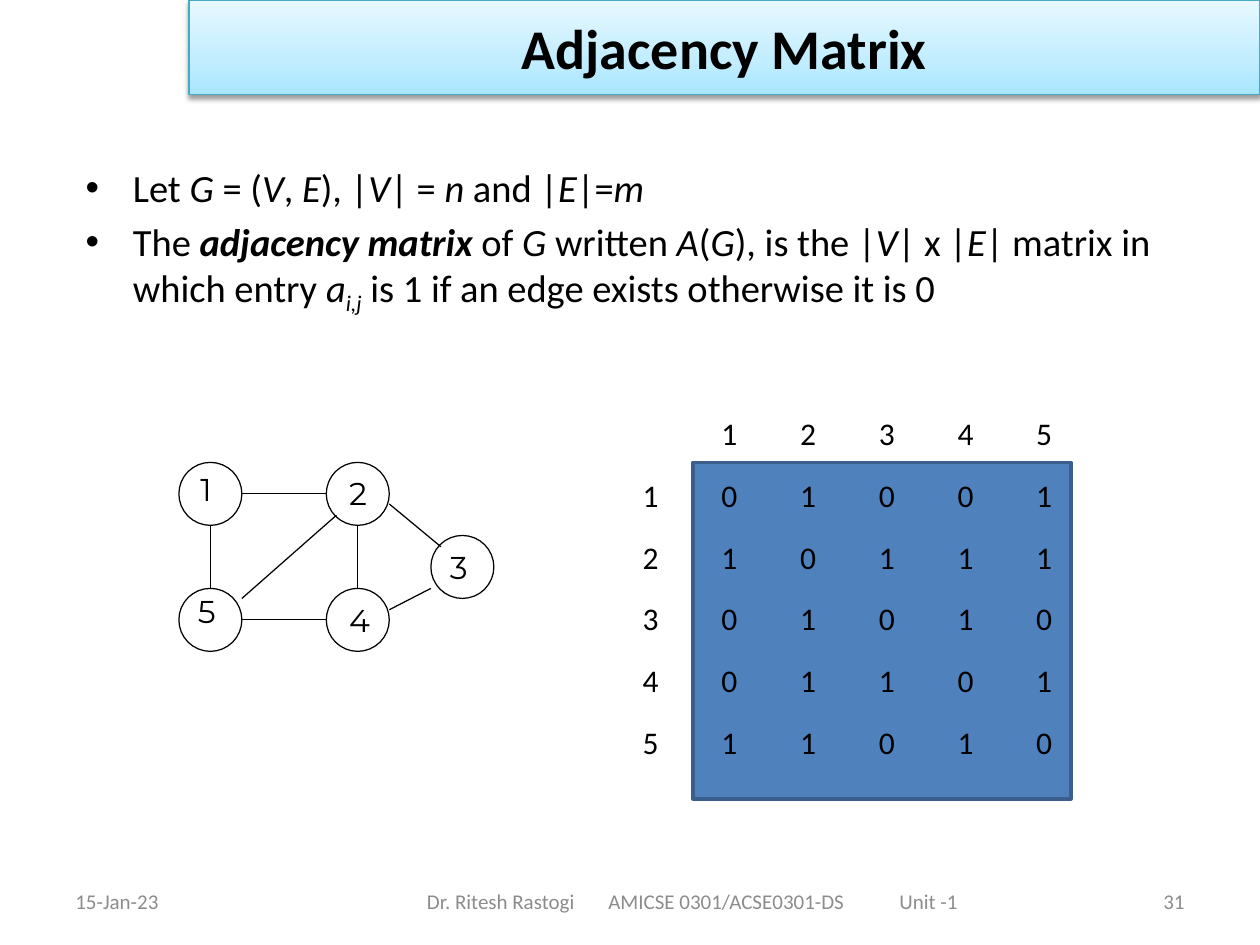
import math

from lxml import etree
from pptx import Presentation
from pptx import oxml
from pptx import util as u
from pptx.dml.color import RGBColor
from pptx.enum import shapes, text
from pptx.oxml.ns import nsdecls, qn

COLORS = {"ink": "000000", "muted": "8C8C8C", "matrix": "4F81BD",
          "matrix_edge": "3A5F8C", "title_edge": "46AAC5",
          "title_low": "A7E6FF", "title_mid": "C1EDFF", "title_high": "E7F8FF"}


def rgb(name):
    return RGBColor.from_string(COLORS[name])


def add_text(s, box, words, size, font, color, inset=None, align=text.PP_ALIGN.LEFT, tabs=()):
    tf = s.shapes.add_textbox(*[u.Inches(v) for v in box]).text_frame
    tf.word_wrap = True
    if inset is None:
        tf.vertical_anchor = text.MSO_ANCHOR.MIDDLE
    else:
        tf.margin_left = tf.margin_right = tf.margin_top = tf.margin_bottom = u.Inches(inset)
    p = tf.paragraphs[0]
    p.text = words
    p.alignment = align
    if tabs:
        tab_list = etree.SubElement(p._p.get_or_add_pPr(), qn("a:tabLst"))
        for pos in tabs:
            etree.SubElement(tab_list, qn("a:tab"), pos=str(u.Inches(pos)), algn="l")
    f = p.runs[0].font
    f.size, f.name, f.color.rgb = u.Pt(size), font, rgb(color)


prs = Presentation()
prs.slide_width, prs.slide_height = u.Inches(10), u.Inches(7.5)
s = prs.slides.add_slide(prs.slide_layouts[1])

matrix = s.shapes.add_shape(shapes.MSO_SHAPE.RECTANGLE, u.Inches(5.5), u.Inches(3.67),
                            u.Inches(3), u.Inches(2.67))
matrix.shadow.inherit = False
matrix.fill.solid()
matrix.fill.fore_color.rgb = rgb("matrix")
matrix.line.color.rgb = rgb("matrix_edge")
matrix.line.width = u.Pt(2)

title = s.shapes.title
title.left, title.top, title.width, title.height = [u.Inches(v) for v in (1.5, 0, 8.5, 0.75)]
title.text_frame.text = "Adjacency Matrix"
title.text_frame.vertical_anchor = text.MSO_ANCHOR.MIDDLE
p = title.text_frame.paragraphs[0]
p.alignment = text.PP_ALIGN.CENTER
f = p.runs[0].font
f.size, f.bold, f.name, f.color.rgb = u.Pt(32), True, "Calibri", rgb("ink")
stops = "".join(f'<a:gs pos="{pos}"><a:srgbClr val="{COLORS[c]}"/></a:gs>' for pos, c in
                ((0, "title_low"), (35000, "title_mid"), (100000, "title_high")))
sp_pr = title._element.spPr
sp_pr.append(oxml.parse_xml(f'<a:prstGeom {nsdecls("a")} prst="rect"><a:avLst/></a:prstGeom>'))
sp_pr.append(oxml.parse_xml(
    f'<a:gradFill {nsdecls("a")} rotWithShape="1"><a:gsLst>{stops}</a:gsLst>'
    '<a:lin ang="16200000" scaled="1"/></a:gradFill>'))
title.line.color.rgb = rgb("title_edge")
title.line.width = u.Pt(0.75)
sp_pr.append(oxml.parse_xml(
    f'<a:effectLst {nsdecls("a")}><a:outerShdw blurRad="{u.Pt(3.1)}" dist="{u.Pt(1.6)}" '
    f'dir="5400000" rotWithShape="0"><a:srgbClr val="{COLORS["ink"]}">'
    '<a:alpha val="38000"/></a:srgbClr></a:outerShdw></a:effectLst>'))

body = s.placeholders[1]
body.left, body.top, body.width, body.height = [u.Inches(v) for v in (0.58, 1.25, 9, 2.17)]
tf = body.text_frame
tf.auto_size = text.MSO_AUTO_SIZE.NONE
bullets = ["Let ~G ~= (~V~, ~E~), |~V~| = ~n ~and |~E~|=~m",
           "The ~adjacency matrix ~of ~G ~written ~A~(~G~), is the |~V~| x |~E~"
           "| matrix in which entry ~a~~i,j~ is 1 if an edge exists otherwise it is 0"]
for i, bullet in enumerate(bullets):
    p = tf.paragraphs[0] if i == 0 else tf.add_paragraph()
    for n, part in enumerate(bullet.split("~")):
        if not part:
            continue
        r = p.add_run()
        r.text = part
        f = r.font
        f.size, f.name, f.color.rgb = u.Pt(22), "Calibri", rgb("ink")
        f.italic = n % 2 == 1
        if part == "adjacency matrix ":
            f.bold = True
        if part == "i,j":
            r._r.get_or_add_rPr().set("baseline", "-25000")

nodes = [("1", 1.67, 3.92, 1.59, 3.73), ("2", 2.84, 3.92, 2.77, 3.76),
         ("3", 3.67, 4.5, 3.57, 4.35), ("4", 2.84, 4.92, 2.77, 4.77),
         ("5", 1.67, 4.92, 1.57, 4.7)]
edges = [[(1.92, 4.75), (2.67, 4.09)], [(1.67, 4.67), (1.67, 4.17)],
         [(1.92, 3.92), (2.59, 3.92)], [(1.92, 4.92), (2.59, 4.92)],
         [(2.84, 4.17), (2.84, 4.67)], [(3.09, 4), (3.5, 4.34)],
         [(3.09, 4.84), (3.42, 4.67)]]
angles = [math.tau * k / 32 for k in range(32)]
circles = [[(x - 0.25 * math.cos(a), y - 0.25 * math.sin(a)) for a in angles]
           for name, x, y, label_x, label_y in nodes]
pen = None
for outline in circles + edges:
    start, *rest = [(u.Inches(x), u.Inches(y)) for x, y in outline]
    if pen is None:
        pen = s.shapes.build_freeform(*start)
    else:
        pen.move_to(*start)
    pen.add_line_segments(rest, close=len(rest) > 1)
graph = pen.convert_to_shape()
graph.shadow.inherit = False
graph.fill.background()
graph.line.color.rgb = rgb("ink")
graph.line.width = u.Pt(0.72)
for name, x, y, label_x, label_y in nodes:
    add_text(s, (label_x, label_y, 0.18, 0.35), name, 18, "Montserrat", "ink", inset=0)

rows = [" 12345", "101001", "210111", "301010", "401101", "511010"]
frame = s.shapes.add_table(6, 6, u.Inches(5), u.Inches(3.25), u.Inches(3.75), u.Inches(2.94))
table = frame.table
table.first_row = table.horz_banding = False
table._tbl.tblPr.find(qn("a:tableStyleId")).text = "{2D5ABB26-0587-4C30-8999-92F81FD0307C}"
for i, row in enumerate(rows):
    for j, value in enumerate(row):
        cell = table.cell(i, j)
        cell.fill.background()
        p = cell.text_frame.paragraphs[0]
        p.text = value.strip()
        p.font.size = u.Pt(18)
        for r in p.runs:
            r.font.size, r.font.name, r.font.color.rgb = u.Pt(18), "Calibri", rgb("ink")

add_text(s, (0.5, 6.95, 2.33, 0.4), "15-Jan-23", 12, "Calibri", "muted")
add_text(s, (3.29, 6.95, 4.96, 0.4), "Dr. Ritesh Rastogi\tAMICSE 0301/ACSE0301-DS\tUnit -1",
         12, "Calibri", "muted", tabs=(1.44, 3.75))
add_text(s, (7.17, 6.95, 2.33, 0.4), "31", 12, "Calibri", "muted", align=text.PP_ALIGN.RIGHT)

prs.save("out.pptx")
